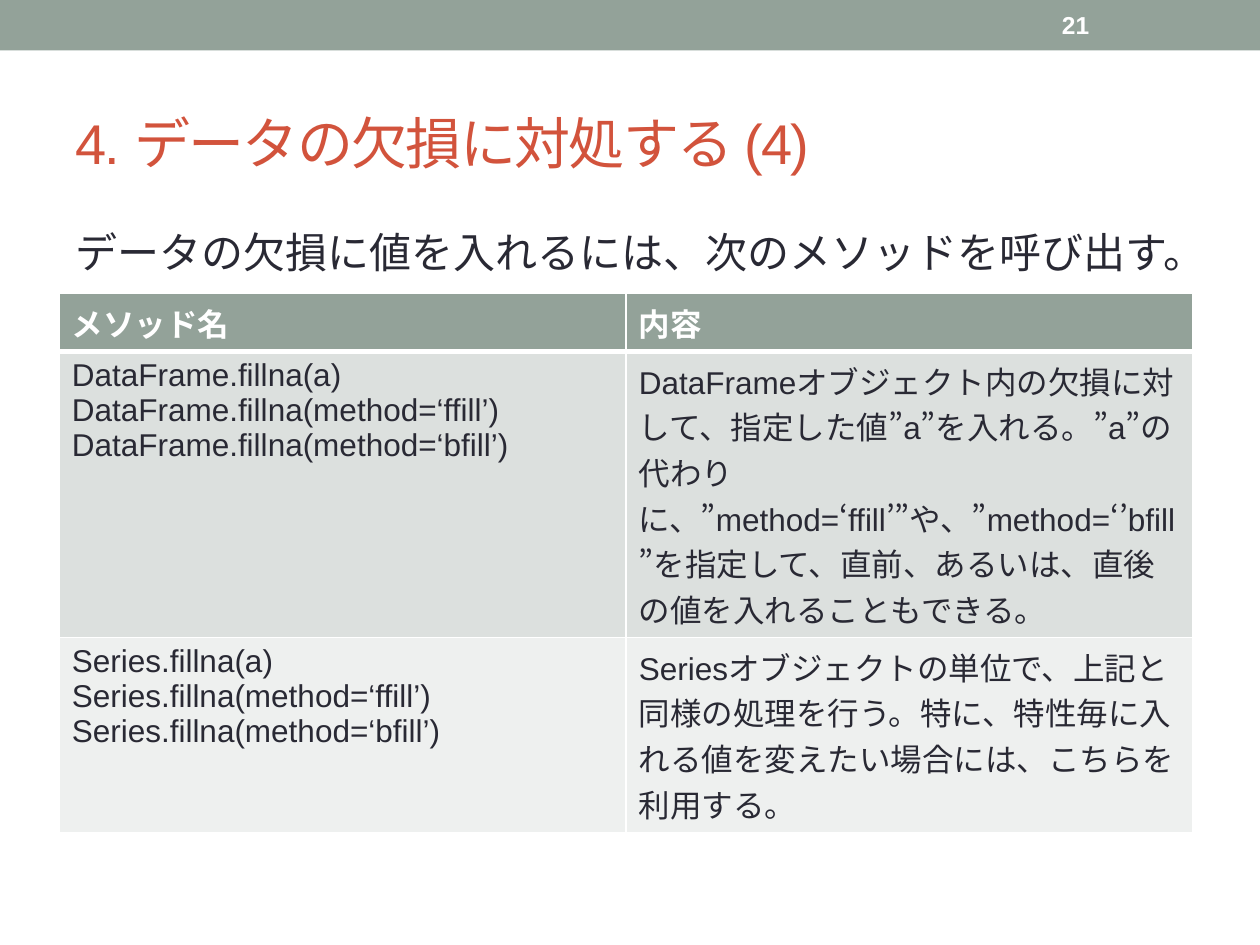
"""Build the slide on filling missing data with fillna."""
from lxml import etree
from pptx import Presentation
from pptx.dml.color import RGBColor
from pptx.enum.lang import MSO_LANGUAGE_ID
from pptx.enum.shapes import MSO_SHAPE
from pptx.enum.text import MSO_ANCHOR
from pptx.oxml.ns import qn
from pptx.util import Inches, Pt

RECTANGLE = MSO_SHAPE.RECTANGLE
TOP, MIDDLE = MSO_ANCHOR.TOP, MSO_ANCHOR.MIDDLE
JAPANESE = MSO_LANGUAGE_ID.JAPANESE

THEME = {
    "font": "Arial",
    "sage": "93A299", "red": "D2533C", "ink": "292934", "white": "FFFFFF",
    "dark_band": "DCE0DE", "light_band": "EEF0EF",
    "title": 32, "body": 24, "cell": 18, "number": 14,
}


def write(text_frame, text, size, color, bold=False):
    text_frame.word_wrap = True
    text_frame.text = text
    for paragraph in text_frame.paragraphs:
        for run in paragraph.runs:
            run.font.name = THEME["font"]
            run.font.size = Pt(THEME[size])
            run.font.bold = bold
            run.font.color.rgb = RGBColor.from_string(THEME[color])
            run.font.language_id = JAPANESE


def add_border(cell, side, width):
    line = etree.SubElement(cell._tc.get_or_add_tcPr(), qn(f"a:{side}"), w=str(Pt(width)))
    fill = etree.SubElement(line, qn("a:solidFill"))
    etree.SubElement(fill, qn("a:srgbClr"), val=THEME["white"])


presentation = Presentation()
presentation.slide_width = Inches(10)
presentation.slide_height = Inches(7.5)
slide = presentation.slides.add_slide(presentation.slide_layouts[6])

band = slide.shapes.add_shape(RECTANGLE, 0, 0, presentation.slide_width, Inches(0.4))
band.shadow.inherit = False
band.fill.solid()
band.fill.fore_color.rgb = RGBColor.from_string(THEME["sage"])
band.line.fill.background()

TEXTS = [
    ("4. データの欠損に対処する (4)", (0.5, 0.59, 9, 1.08), "title", "red", False, MIDDLE),
    ("データの欠損に値を入れるには、次のメソッドを呼び出す。",
     (0.5, 1.75, 9, 5.33), "body", "ink", False, TOP),
    ("21", (8.33, 0.02, 1.17, 0.36), "number", "white", True, MIDDLE),
]
for text, place, size, color, bold, anchor in TEXTS:
    box = slide.shapes.add_textbox(*map(Inches, place))
    write(box.text_frame, text, size, color, bold)
    box.text_frame.vertical_anchor = anchor
    if size == "title":
        box.text_frame.paragraphs[0].runs[0].font._element.set("spc", "-100")

ROWS = [
    (0.46, "sage", "white", ("メソッド名", "内容")),
    (2.27, "dark_band", "ink", (
        "DataFrame.fillna(a)\n"
        "DataFrame.fillna(method=‘ffill’) DataFrame.fillna(method=‘bfill’)",
        "DataFrameオブジェクト内の欠損に対して、指定した値”a”を入れる。"
        "”a”の代わりに、”method=‘ffill’”や、”method=‘’bfill”を指定して、"
        "直前、あるいは、直後の値を入れることもできる。")),
    (1.55, "light_band", "ink", (
        "Series.fillna(a)\n"
        "Series.fillna(method=‘ffill’) Series.fillna(method=‘bfill’)",
        "Seriesオブジェクトの単位で、上記と同様の処理を行う。"
        "特に、特性毎に入れる値を変えたい場合には、こちらを利用する。")),
]
table_height = sum(row[0] for row in ROWS)
table = slide.shapes.add_table(
    len(ROWS), 2, Inches(0.47), Inches(2.33), Inches(9), Inches(table_height)).table
for row_index, (height, fill, color, texts) in enumerate(ROWS):
    header = row_index == 0
    table.rows[row_index].height = Inches(height)
    for column_index, text in enumerate(texts):
        cell = table.cell(row_index, column_index)
        write(cell.text_frame, text, "cell", color, header)
        for side in ("lnL", "lnR", "lnT", "lnB"):
            header_edge = (row_index, side) in ((0, "lnB"), (1, "lnT"))
            add_border(cell, side, 3 if header_edge else 1)
        cell.fill.solid()
        cell.fill.fore_color.rgb = RGBColor.from_string(THEME[fill])

presentation.save("out.pptx")
